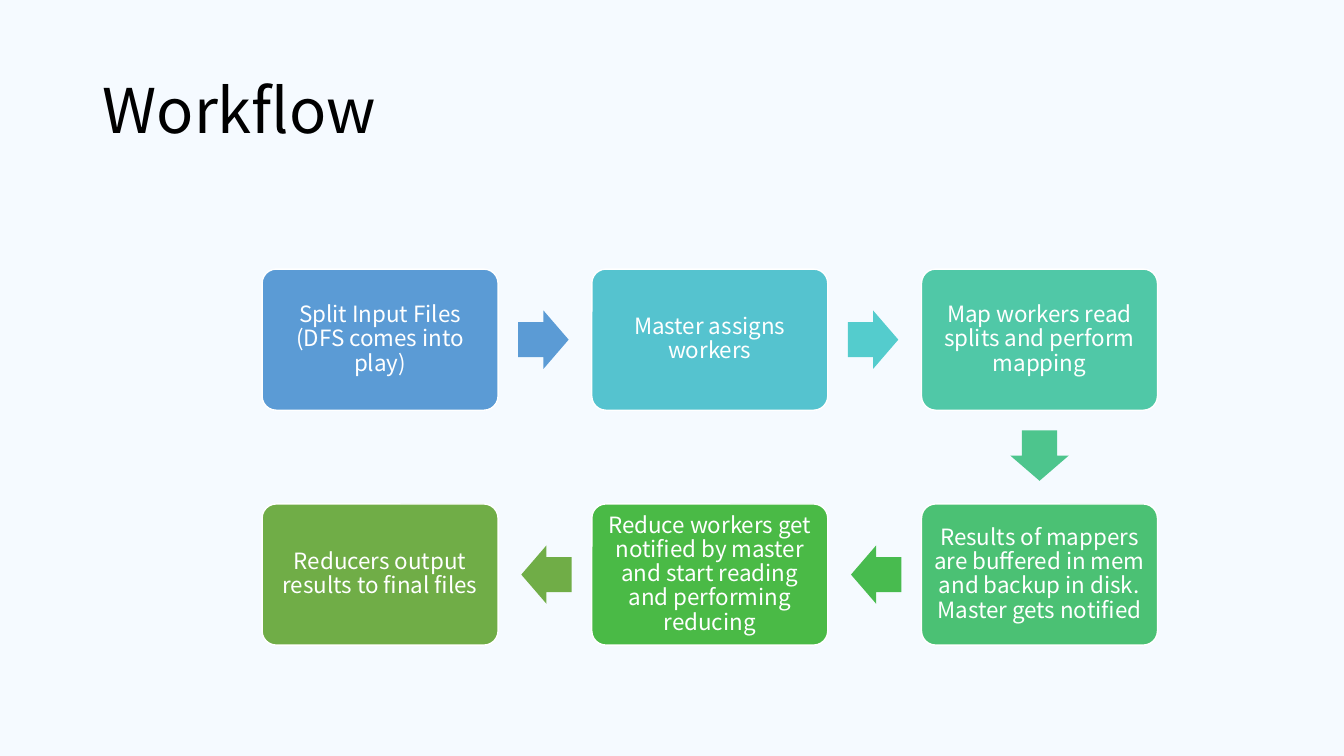
from itertools import pairwise
from typing import NamedTuple

from pptx import Presentation
from pptx.dml.color import RGBColor
from pptx.enum.shapes import MSO_SHAPE
from pptx.enum.text import MSO_ANCHOR, PP_ALIGN
from pptx.util import Pt

ROUNDED, ARROW = MSO_SHAPE.ROUNDED_RECTANGLE, MSO_SHAPE.RIGHT_ARROW
MIDDLE = MSO_ANCHOR.MIDDLE
LEFT, CENTER = PP_ALIGN.LEFT, PP_ALIGN.CENTER

EMU_PER_PX = 9144
FONT = "Noto Sans CJK SC"
WHITE, BLACK, BACKGROUND = "FFFFFF", "000000", "F5FAFF"
GRID_X, GRID_Y = 260, 267
PITCH_X, PITCH_Y = 327, 233
BOX_W, BOX_H = 234, 140
ARROW_W, ARROW_H, ARROW_GAP = 50, 58, 20
ROTATION = {(1, 0): 0, (0, 1): 90, (-1, 0): 180}


class Step(NamedTuple):
    col: int
    row: int
    text: str
    fill: str
    arrow_fill: str = ""


STEPS = [
    Step(0, 0, "Split Input Files (DFS comes into play)", "5B9BD5", "5B9BD5"),
    Step(1, 0, "Master assigns workers", "55C3CF", "54CCCD"),
    Step(2, 0, "Map workers read splits and perform mapping", "50C8A7", "4DC58D"),
    Step(2, 1, "Results of mappers are buffered in mem and backup in disk. "
               "Master gets notified", "4BC174", "48BB4F"),
    Step(1, 1, "Reduce workers get notified by master and start reading "
               "and performing reducing", "4ABA46", "70AD47"),
    Step(0, 1, "Reducers output results to final files", "70AD47"),
]


def px(n: float) -> int:
    return round(n * EMU_PER_PX)


def rgb(value: str) -> RGBColor:
    return RGBColor.from_string(value)


def write(sp, text: str, size: int, color: str, align, inset_x: int, inset_y: int) -> None:
    tf = sp.text_frame
    tf.word_wrap = True
    tf.vertical_anchor = MIDDLE
    tf.margin_left = tf.margin_right = px(inset_x)
    tf.margin_top = tf.margin_bottom = px(inset_y)
    p = tf.paragraphs[0]
    p.alignment = align
    p.line_spacing = 0.9
    r = p.add_run()
    r.text = text
    r.font.name = FONT
    r.font.size = Pt(size)
    r.font.color.rgb = rgb(color)


def add_solid(s, kind, x: float, y: float, w: int, h: int, fill: str):
    sp = s.shapes.add_shape(kind, px(x), px(y), px(w), px(h))
    sp.shadow.inherit = False
    sp.fill.solid()
    sp.fill.fore_color.rgb = rgb(fill)
    sp.line.fill.background()
    return sp


def add_step(s, step: Step) -> None:
    x, y = GRID_X + step.col * PITCH_X, GRID_Y + step.row * PITCH_Y
    sp = add_solid(s, ROUNDED, x, y, BOX_W, BOX_H, step.fill)
    sp.adjustments[0] = 0.1
    sp.line.color.rgb = rgb(WHITE)
    sp.line.width = Pt(1)
    write(sp, step.text, 16, WHITE, CENTER, 7, 7)


def add_arrow(s, step: Step, following: Step) -> None:
    dx, dy = following.col - step.col, following.row - step.row
    reach = ARROW_GAP + ARROW_W / 2
    cx = GRID_X + step.col * PITCH_X + BOX_W / 2 + dx * (BOX_W / 2 + reach)
    cy = GRID_Y + step.row * PITCH_Y + BOX_H / 2 + dy * (BOX_H / 2 + reach)
    sp = add_solid(s, ARROW, cx - ARROW_W / 2, cy - ARROW_H / 2,
                   ARROW_W, ARROW_H, step.arrow_fill)
    sp.adjustments[0], sp.adjustments[1] = 0.6, 0.5
    sp.rotation = ROTATION[dx, dy]


def main() -> None:
    """Build the workflow slide and save it."""
    prs = Presentation()
    prs.slide_width, prs.slide_height = px(1333), px(750)
    s = prs.slides.add_slide(prs.slide_layouts[6])
    s.background.fill.solid()
    s.background.fill.fore_color.rgb = rgb(BACKGROUND)

    title = s.shapes.add_textbox(px(92), px(40), px(1150), px(145))
    write(title, "Workflow", 44, BLACK, LEFT, 10, 5)

    for step in STEPS:
        add_step(s, step)
    for step, following in pairwise(STEPS):
        add_arrow(s, step, following)

    prs.save("out.pptx")


if __name__ == "__main__":
    main()
